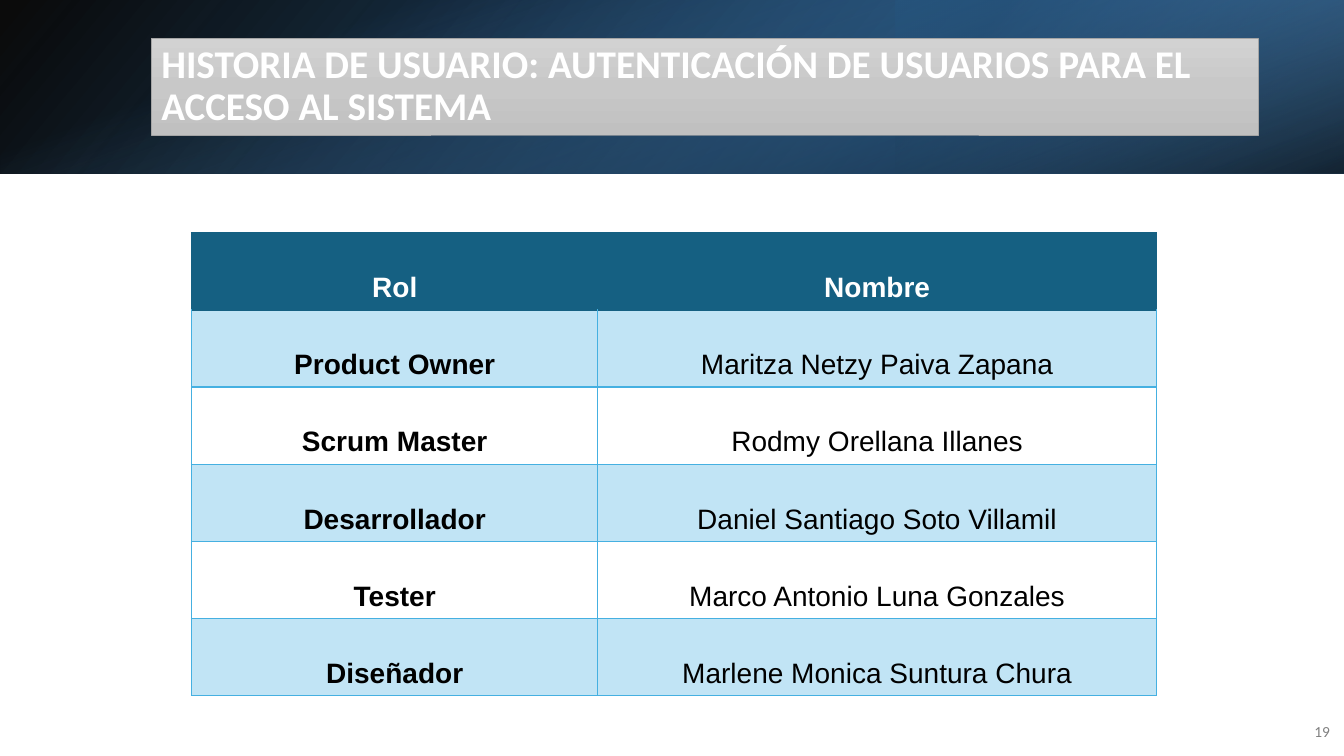
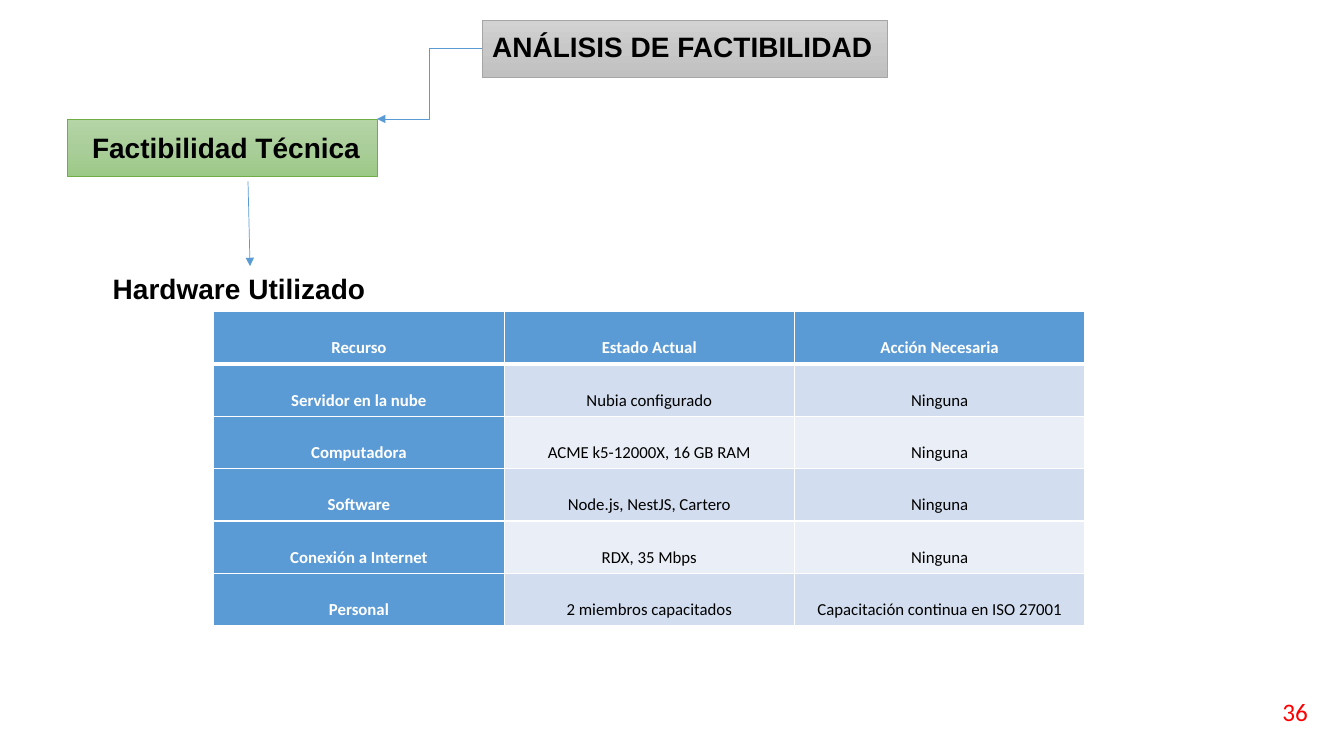
from dataclasses import dataclass

from lxml.etree import SubElement
from pptx import Presentation
from pptx.dml.color import RGBColor
from pptx.enum.shapes import MSO_CONNECTOR as Connector, MSO_SHAPE as Shape
from pptx.enum.text import MSO_ANCHOR as Anchor, MSO_AUTO_SIZE as AutoSize, PP_ALIGN as Align
from pptx.oxml.ns import qn
from pptx.util import Inches, Pt

WHITE = RGBColor(0xFF, 0xFF, 0xFF)
BLACK = RGBColor(0x00, 0x00, 0x00)
GRAY = RGBColor(0x80, 0x80, 0x80)
RED = RGBColor(0xFF, 0x00, 0x00)
BLUE = RGBColor(0x5B, 0x9B, 0xD5)
MID_BLUE = RGBColor(0x2E, 0x75, 0xB6)
NAVY = RGBColor(0x1F, 0x4E, 0x79)
PALE_BLUE = RGBColor(0xD2, 0xDE, 0xEF)
FAINT_BLUE = RGBColor(0xEA, 0xEF, 0xF7)
TEAL = RGBColor(0x15, 0x60, 0x82)
SKY = RGBColor(0x45, 0xB0, 0xE1)
PALE_SKY = RGBColor(0xC1, 0xE4, 0xF5)
SILVER_LINE = RGBColor(0xA5, 0xA5, 0xA5)
GREEN_LINE = RGBColor(0x70, 0xAD, 0x47)

SLIDE_W, SLIDE_H, BAND_H = 13.33, 7.5, 1.72
TITLE_ONLY = 5


@dataclass(frozen=True)
class Box:
    """Position and size in inches."""
    x: float
    y: float
    w: float
    h: float

    def lengths(self) -> tuple:
        """Return left, top, width and height as lengths."""
        return tuple(Inches(v) for v in (self.x, self.y, self.w, self.h))


@dataclass(frozen=True)
class Stop:
    """Gradient stop with position and opacity in percent."""
    pos: int
    color: RGBColor
    opacity: int = 100


@dataclass(frozen=True)
class Gradient:
    """Linear gradient with its angle in degrees."""
    stops: tuple[Stop, ...]
    angle: int = 90


@dataclass(frozen=True)
class Band:
    """Translucent layer of the header band."""
    box: Box
    fill: Gradient
    rotation: int = 0
    flip: bool = False


@dataclass(frozen=True)
class Font:
    """Character style."""
    name: str
    size: int
    color: RGBColor = BLACK
    bold: bool = False


@dataclass(frozen=True)
class Border:
    """Cell border colour and width in points."""
    color: RGBColor
    width: int = 1


@dataclass(frozen=True)
class TableStyle:
    """Look of a table: fonts, fills, margins and borders."""
    head: Font
    label: Font
    value: Font
    head_fill: RGBColor
    label_fills: tuple[RGBColor, RGBColor]
    value_fills: tuple[RGBColor, RGBColor]
    margin: float
    margin_top: float
    head_line: Border
    head_bottom: Border
    line: Border


SILVER = Gradient((Stop(0, RGBColor(0xD2, 0xD2, 0xD2)), Stop(50, RGBColor(0xC8, 0xC8, 0xC8)),
                   Stop(100, RGBColor(0xC0, 0xC0, 0xC0))))
GREEN = Gradient((Stop(0, RGBColor(0xB5, 0xD5, 0xA7)), Stop(50, RGBColor(0xAA, 0xCE, 0x9A)),
                  Stop(100, RGBColor(0x9C, 0xC9, 0x87))))
SIDE = (SLIDE_W - BAND_H) / 2
BANDS = (
    Band(Box(0, 0, SLIDE_W, BAND_H),
         Gradient((Stop(0, BLACK, 96), Stop(100, MID_BLUE)), 140), flip=True),
    Band(Box(SLIDE_W * 2 / 3, 0, SLIDE_W / 3, BAND_H),
         Gradient((Stop(19, NAVY, 68), Stop(100, BLUE, 79)), 320), 180, True),
    Band(Box(SIDE, -SIDE, BAND_H, SLIDE_W),
         Gradient((Stop(23, BLUE, 0), Stop(99, BLACK, 74)), 340), 90),
)
HEADING = Font("Arial", 20, BLACK, True)

TEAM_STYLE = TableStyle(
    Font("Arial", 20, WHITE, True), HEADING, Font("Arial", 20),
    TEAL, (PALE_SKY, WHITE), (PALE_SKY, WHITE), 0.13, 0.02,
    Border(TEAL), Border(TEAL), Border(SKY))
HARDWARE_STYLE = TableStyle(
    Font("Calibri", 12, WHITE, True), Font("Calibri", 12, WHITE, True), Font("Calibri", 12),
    BLUE, (BLUE, BLUE), (PALE_BLUE, FAINT_BLUE), 0.07, 0,
    Border(WHITE), Border(WHITE, 3), Border(WHITE))

TEAM = (
    ("Rol", "Nombre"),
    ("Product Owner", "Maritza Netzy Paiva Zapana"),
    ("Scrum Master", "Rodmy Orellana Illanes"),
    ("Desarrollador", "Daniel Santiago Soto Villamil"),
    ("Tester", "Marco Antonio Luna Gonzales"),
    ("Diseñador", "Marlene Monica Suntura Chura"),
)
HARDWARE = (
    ("Recurso", "Estado Actual", "Acción Necesaria"),
    ("Servidor en la nube", "Nubia configurado", "Ninguna"),
    ("Computadora", "ACME k5-12000X, 16 GB RAM", "Ninguna"),
    ("Software", "Node.js, NestJS, Cartero", "Ninguna"),
    ("Conexión a Internet", "RDX, 35 Mbps", "Ninguna"),
    ("Personal", "2 miembros capacitados", "Capacitación continua en ISO 27001"),
)


def fill_gradient(sp, gradient: Gradient) -> None:
    """Fill a shape with a linear gradient."""
    sp.fill.gradient()
    grad = sp.element.spPr.find(qn("a:gradFill"))
    for child in list(grad):
        grad.remove(child)
    grad.set("rotWithShape", "1")
    stops = SubElement(grad, qn("a:gsLst"))
    for stop in gradient.stops:
        gs = SubElement(stops, qn("a:gs"), pos=str(stop.pos * 1000))
        color = SubElement(gs, qn("a:srgbClr"), val=str(stop.color))
        if stop.opacity < 100:
            SubElement(color, qn("a:alpha"), val=str(stop.opacity * 1000))
    SubElement(grad, qn("a:lin"), ang=str(gradient.angle * 60000), scaled="0")


def add_run(p, text: str, font: Font) -> None:
    """Add a formatted run to a paragraph."""
    r = p.add_run()
    r.text = text
    r.font.name, r.font.size, r.font.bold = font.name, Pt(font.size), font.bold
    r.font.color.rgb = font.color


def write(tf, text: str, font: Font, align=Align.LEFT, anchor=Anchor.MIDDLE):
    """Write one paragraph in a text frame and return it."""
    tf.word_wrap, tf.auto_size, tf.vertical_anchor = True, AutoSize.NONE, anchor
    p = tf.paragraphs[0]
    p.alignment = align
    add_run(p, text, font)
    return p


def add_text(s, box: Box, text: str, font: Font, align=Align.LEFT, anchor=Anchor.MIDDLE) -> None:
    """Add a text box."""
    write(s.shapes.add_textbox(*box.lengths()).text_frame, text, font, align, anchor)


def style_panel(sp, gradient: Gradient, line: RGBColor) -> None:
    """Give a shape a gradient and a thin outline."""
    fill_gradient(sp, gradient)
    sp.line.color.rgb, sp.line.width = line, Pt(0.5)


def add_title(s, box: Box, text: str, font: Font) -> None:
    """Place the title placeholder in front as a silver panel."""
    sp = s.shapes.title
    sp.element.getparent().append(sp.element)
    sp.left, sp.top, sp.width, sp.height = box.lengths()
    style_panel(sp, SILVER, SILVER_LINE)
    write(sp.text_frame, text, font).line_spacing = 0.9


def add_band(s, band: Band) -> None:
    """Draw one layer of the header band."""
    sp = s.shapes.add_shape(Shape.RECTANGLE, *band.box.lengths())
    sp.shadow.inherit = False
    sp.line.fill.background()
    sp.rotation = band.rotation
    if band.flip:
        sp.element.spPr.find(qn("a:xfrm")).set("flipH", "1")
    fill_gradient(sp, band.fill)


def add_arrow(s, kind, start: tuple[float, float], end: tuple[float, float]) -> None:
    """Draw a thin blue arrow."""
    c = s.shapes.add_connector(kind, *(Inches(v) for v in start + end))
    c.line.color.rgb, c.line.width = BLUE, Pt(0.5)
    SubElement(c.line._get_or_add_ln(), qn("a:tailEnd"), type="triangle")
    SubElement(c.element.spPr, qn("a:effectLst"))


def set_borders(cell, borders: dict[str, Border]) -> None:
    """Set the borders of a cell, ahead of its fill."""
    tc_pr = cell._tc.get_or_add_tcPr()
    for i, (side, border) in enumerate(borders.items()):
        ln = SubElement(tc_pr, qn(f"a:ln{side}"), w=str(Pt(border.width)))
        fill = SubElement(ln, qn("a:solidFill"))
        SubElement(fill, qn("a:srgbClr"), val=str(border.color))
        tc_pr.insert(i, ln)


def add_table(s, box: Box, widths: tuple[float, ...], rows, style: TableStyle) -> None:
    """Add a table with a header row and a label column."""
    table = s.shapes.add_table(len(rows), len(widths), *box.lengths()).table
    table.horz_banding = False
    for col, width in zip(table.columns, widths):
        col.width = Inches(width)
    for i, texts in enumerate(rows):
        table.rows[i].height = Inches(box.h / len(rows))
        for j, text in enumerate(texts):
            if i == 0:
                font, fill = style.head, style.head_fill
            elif j == 0:
                font, fill = style.label, style.label_fills[(i - 1) % 2]
            else:
                font, fill = style.value, style.value_fills[(i - 1) % 2]
            line = style.line if i else style.head_line
            cell = table.cell(i, j)
            cell.fill.solid()
            cell.fill.fore_color.rgb = fill
            cell.margin_left = cell.margin_right = Inches(style.margin)
            cell.margin_top, cell.margin_bottom = Inches(style.margin_top), 0
            cell.vertical_anchor = Anchor.MIDDLE
            p = cell.text_frame.paragraphs[0]
            p.alignment, p.line_spacing = Align.CENTER, 2.0
            p.space_before, p.space_after = Pt(12), Pt(8)
            add_run(p, text, font)
            set_borders(cell, {"L": line, "R": line,
                               "T": style.head_bottom if i == 1 else line,
                               "B": line if i else style.head_bottom})


def build_team(prs) -> None:
    """Build the user story slide."""
    s = prs.slides.add_slide(prs.slide_layouts[TITLE_ONLY])
    for band in BANDS:
        add_band(s, band)
    add_title(s, Box(1.5, 0.38, 10.98, 0.96),
              "HISTORIA DE USUARIO: AUTENTICACIÓN DE USUARIOS PARA EL ACCESO AL SISTEMA",
              Font("Calibri", 28, WHITE, True))
    add_text(s, Box(12.8, 7.06, 0.49, 0.4), "19", Font("Calibri", 11, GRAY), Align.RIGHT)
    add_table(s, Box(1.9, 2.31, 9.57, 4.59), (4.03, 5.54), TEAM, TEAM_STYLE)


def build_feasibility(prs) -> None:
    """Build the feasibility analysis slide."""
    s = prs.slides.add_slide(prs.slide_layouts[TITLE_ONLY])
    add_title(s, Box(4.78, 0.2, 4.02, 0.57), "ANÁLISIS DE FACTIBILIDAD", HEADING)
    add_text(s, Box(10.07, 6.86, 3, 0.4), "36", Font("Calibri", 18, RED), Align.RIGHT)
    sp = s.shapes.add_shape(Shape.RECTANGLE, *Box(0.67, 1.18, 3.07, 0.57).lengths())
    sp.shadow.inherit = False
    style_panel(sp, GREEN, GREEN_LINE)
    write(sp.text_frame, " Factibilidad Técnica", HEADING, Align.CENTER)
    add_arrow(s, Connector.ELBOW, (4.78, 0.48), (3.74, 1.18))
    add_text(s, Box(1.02, 2.64, 2.93, 0.44), "Hardware Utilizado", HEADING, anchor=Anchor.TOP)
    add_arrow(s, Connector.STRAIGHT, (2.46, 1.8), (2.48, 2.64))
    add_table(s, Box(2.12, 3.09, 8.62, 3.12), (2.88,) * 3, HARDWARE, HARDWARE_STYLE)


def main() -> None:
    """Build and save the presentation."""
    prs = Presentation()
    prs.slide_width, prs.slide_height = Inches(SLIDE_W), Inches(SLIDE_H)
    build_team(prs)
    build_feasibility(prs)
    prs.save("out.pptx")


if __name__ == "__main__":
    main()
